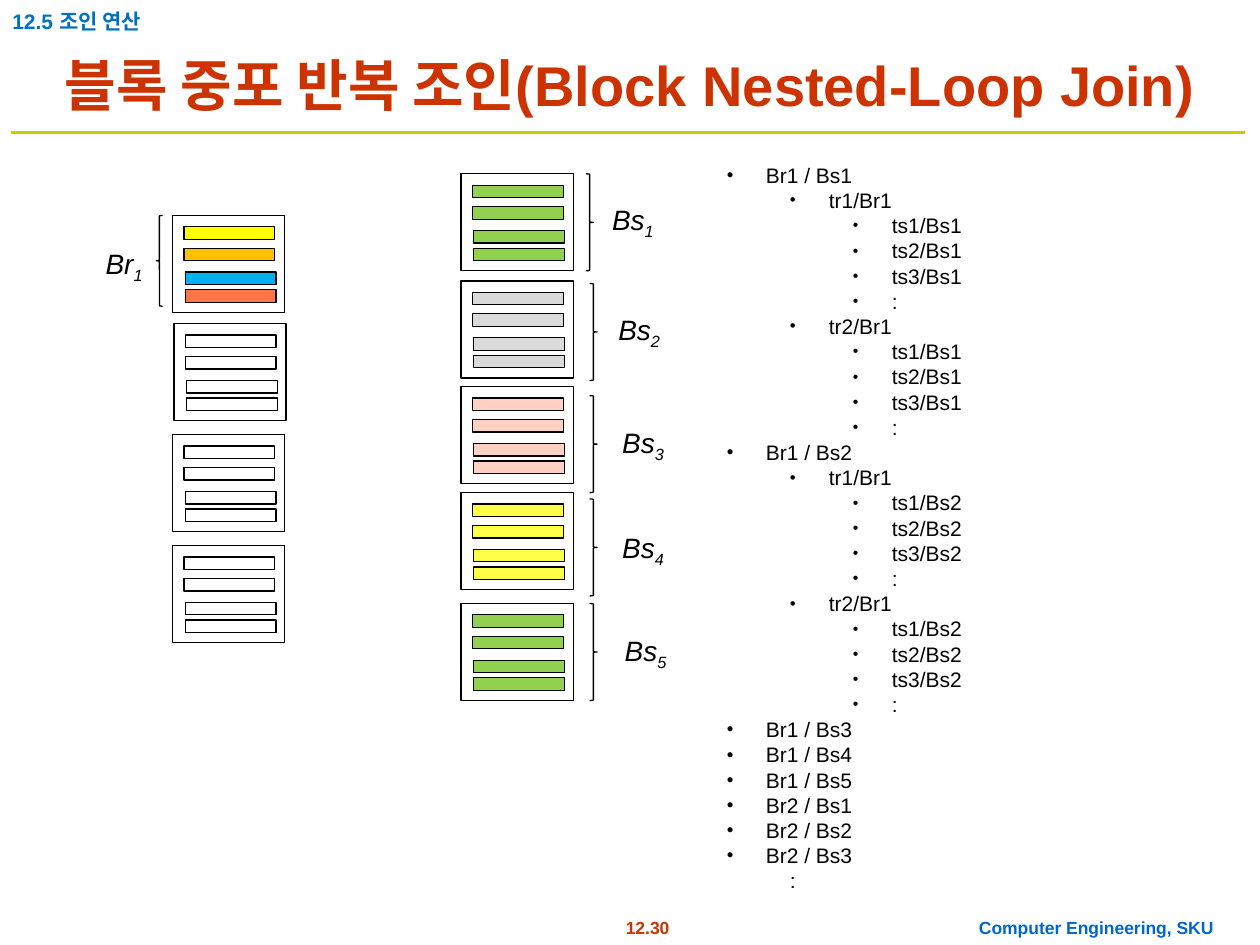
from lxml import etree
from pptx import Presentation
from pptx.dml.color import RGBColor
from pptx.enum.shapes import MSO_CONNECTOR, MSO_SHAPE
from pptx.enum.text import MSO_ANCHOR, MSO_AUTO_SIZE, PP_ALIGN
from pptx.oxml.ns import qn
from pptx.util import Inches, Pt

RECT = MSO_SHAPE.RECTANGLE
LEFT_BRACE, RIGHT_BRACE = MSO_SHAPE.LEFT_BRACE, MSO_SHAPE.RIGHT_BRACE
STRAIGHT = MSO_CONNECTOR.STRAIGHT
LEFT, CENTER = PP_ALIGN.LEFT, PP_ALIGN.CENTER
TOP, BOTTOM = MSO_ANCHOR.TOP, MSO_ANCHOR.BOTTOM
FIT_SHAPE, NO_FIT = MSO_AUTO_SIZE.SHAPE_TO_FIT_TEXT, MSO_AUTO_SIZE.NONE

BLACK, WHITE = "000000", "FFFFFF"
RED, BLUE, OLIVE = "CC3300", "0066CC", "CCCC00"
GREEN, YELLOW = "92D050", "FFFF47"
BULLET_SIZES = (90, 80, 75)
# Offsets of the four records inside a block
RECORDS = ((0.09, 0.09), (0.09, 0.26), (0.1, 0.45), (0.1, 0.59))


def color(value):
    return RGBColor.from_string(value)


class Painter:
    font = "Arial"
    line_width = Pt(0.75)

    def __init__(self, page):
        self.page = page

    def style(self, para, size, ink=BLACK, bold=False, italic=False):
        para.font.name = self.font
        para.font.size = Pt(size)
        para.font.color.rgb = color(ink)
        para.font.bold = bold
        para.font.italic = italic

    def frame(self, at, wrap=True, anchor=TOP, fit=FIT_SHAPE):
        box = self.page.shapes.add_textbox(*map(Inches, at))
        frame = box.text_frame
        frame.word_wrap = wrap
        frame.auto_size = fit
        frame.vertical_anchor = anchor
        return frame

    def text(self, at, words, size, ink, align=LEFT, **layout):
        para = self.frame(at, **layout).paragraphs[0]
        para.text = words
        para.alignment = align
        self.style(para, size, ink, bold=True)

    def label(self, at, name, index):
        para = self.frame(at, wrap=False).paragraphs[0]
        para.add_run().text = name
        span = para.add_run()
        span.text = index
        span._r.get_or_add_rPr().set("baseline", "-25000")
        self.style(para, 16, italic=True)

    def shape(self, kind, at, fill=None):
        shape = self.page.shapes.add_shape(kind, *map(Inches, at))
        shape.shadow.inherit = False
        if fill:
            shape.fill.solid()
            shape.fill.fore_color.rgb = color(fill)
        else:
            shape.fill.background()
        shape.line.color.rgb = color(BLACK)
        shape.line.width = self.line_width

    def block(self, left, top, fills):
        for (dx, dy), fill in zip(RECORDS, fills):
            self.shape(RECT, (left + dx, top + dy, 0.72, 0.1), fill)
        self.shape(RECT, (left, top, 0.89, 0.77))

    def rule(self, left, right, y, ink, width):
        line = self.page.shapes.add_connector(
            STRAIGHT, Inches(left), Inches(y), Inches(right), Inches(y))
        line.line.color.rgb = color(ink)
        line.line.width = Pt(width)
        etree.SubElement(line._element.spPr, qn("a:effectLst"))

    def outline(self, at, items):
        frame = self.frame(at)
        for number, (level, words, bulleted) in enumerate(items):
            para = frame.add_paragraph() if number else frame.paragraphs[0]
            para.text = words
            para.level = level
            para.line_spacing = Pt(14.4)
            props = para._p.get_or_add_pPr()
            props.set("marL", str(Inches(0.31 + 0.5 * level)))
            props.set("indent", str(Inches(-0.31)))
            if bulleted:
                ink = etree.SubElement(props, qn("a:buClr"))
                etree.SubElement(ink, qn("a:srgbClr"), val=BLACK)
                etree.SubElement(props, qn("a:buSzPct"),
                                 val=str(BULLET_SIZES[level] * 1000))
                etree.SubElement(props, qn("a:buFont"), typeface=self.font)
                etree.SubElement(props, qn("a:buChar"), char="•")
            else:
                etree.SubElement(props, qn("a:buNone"))
            self.style(para, 12)


def join_steps():
    steps = []
    for inner in ("Bs1", "Bs2"):
        steps.append((0, f"Br1 / {inner}", True))
        for record in ("tr1", "tr2"):
            steps.append((1, f"{record}/Br1", True))
            steps += [(2, f"ts{n}/{inner}", True) for n in (1, 2, 3)]
            steps.append((2, ":", True))
    for outer, inners in (("Br1", (3, 4, 5)), ("Br2", (1, 2, 3))):
        steps += [(0, f"{outer} / Bs{n}", True) for n in inners]
    return steps + [(1, ":", False)]


def main():
    deck = Presentation()
    deck.slide_width, deck.slide_height = Inches(10), Inches(7.5)
    painter = Painter(deck.slides.add_slide(deck.slide_layouts[6]))

    # Footer, rule and headings
    painter.text((4.61, 7.23, 1.06, 0.27), "12.30", 10, RED, CENTER, wrap=False)
    painter.text((7.67, 7.23, 2.06, 0.27), "Computer Engineering, SKU",
                 10, BLUE, CENTER, wrap=False)
    painter.rule(0.09, 9.88, 1.05, OLIVE, 2)
    painter.text((0.1, 0.31, 9.8, 0.67),
                 "블록 중포 반복 조인(Block Nested-Loop Join)",
                 32, RED, CENTER, anchor=BOTTOM, fit=NO_FIT)
    painter.text((0, 0.02, 1.76, 0.3), "12.5 조인 연산", 12, "0070C0")

    # Outer relation: the current block and the ones still waiting
    painter.block(1.37, 1.71, ("FFFF00", "FFC000", "00B0F0", "FF7547"))
    for left, top in ((1.38, 2.57), (1.37, 3.45), (1.37, 4.33)):
        painter.block(left, top, [WHITE] * 4)
    painter.shape(LEFT_BRACE, (1.24, 1.71, 0.05, 0.72), WHITE)
    painter.label((0.74, 1.91, 0.49, 0.41), "Br", "1")

    # Inner relation: block top, fill, brace left and top, label left and top
    inner_blocks = (
        (1.38, GREEN, 4.65, 1.38, 4.76, 1.56),
        (2.23, "D9D9D9", 4.68, 2.25, 4.81, 2.43),
        (3.07, "FFD1C2", 4.68, 3.14, 4.84, 3.33),
        (3.91, YELLOW, 4.68, 3.96, 4.84, 4.16),
        (4.79, GREEN, 4.68, 4.79, 4.86, 4.98),
    )
    for index, block in enumerate(inner_blocks, 1):
        top, fill, brace_left, brace_top, label_left, label_top = block
        painter.block(3.66, top, [fill] * 4)
        painter.shape(RIGHT_BRACE, (brace_left, brace_top, 0.06, 0.77), WHITE)
        painter.label((label_left, label_top, 0.53, 0.41), "Bs", str(index))

    # Order of the join steps
    painter.outline((5.67, 1.24, 3.89, 5.9), join_steps())

    deck.save("out.pptx")


if __name__ == "__main__":
    main()
